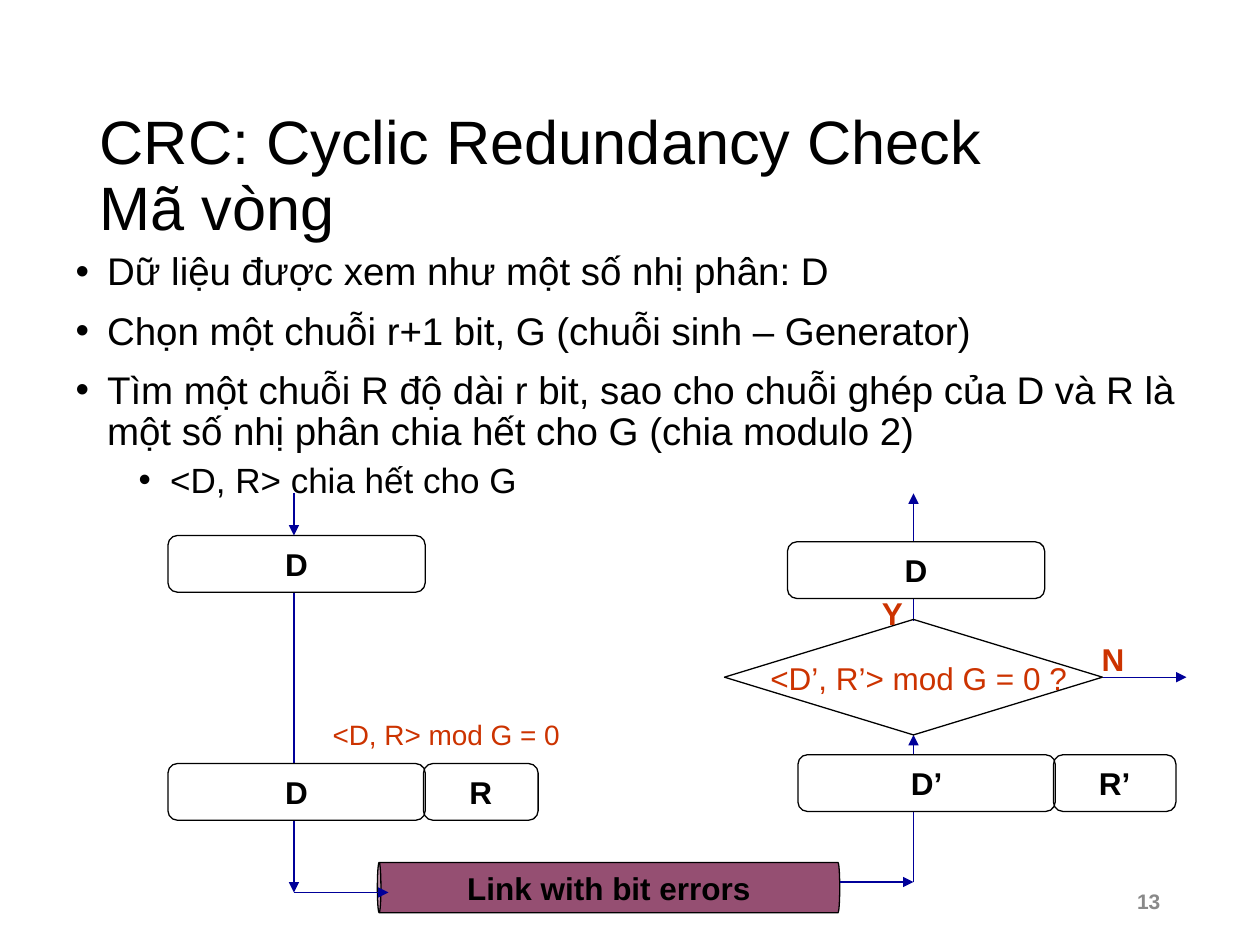
from lxml import etree
from pptx import Presentation
from pptx import util as u
from pptx.dml.color import RGBColor
from pptx.enum import shapes, text
from pptx.oxml import ns

BLACK, WHITE = "000000", "FFFFFF"
NAVY, RED, PURPLE, GRAY = "000099", "CC3300", "954F72", "898989"
FONT = "Arial"
HEADING = "CRC: Cyclic Redundancy Check\vMã vòng"
BULLETS = [
    ("Dữ liệu được xem như một số nhị phân: D", 0),
    ("Chọn một chuỗi r+1 bit, G (chuỗi sinh – Generator)", 0),
    ("Tìm một chuỗi R độ dài r bit, sao cho chuỗi ghép của D và R là "
     "một số nhị phân chia hết cho G (chia modulo 2)", 0),
    ("<D, R> chia hết cho G", 1),
]
FLOW_ARROWS = [
    (168, 336, 168, 510),
    (522, 504, 522, 420),
    (522, 355, 522, 282),
]
EDGE_ARROWS = [
    (630, 387, 678, 387),
    (168, 282, 168, 306),
    (168, 510, 222, 510),
    (480, 504, 522, 504),
]
PACKETS = [
    ("D", 96, 306, 147, WHITE),
    ("D", 96, 436.3, 147, WHITE),
    ("R", 242, 436.3, 65.5, None),
    ("D’", 456, 431.3, 147, WHITE),
    ("R’", 602, 431.3, 70, None),
    ("D", 450, 309.6, 147, WHITE),
]
LABELS = [
    ("<D’, R’> mod G = 0 ?", 432, 373, 186, 18, RED, False),
    ("Y", 492, 336, 36, 18, RED, True),
    ("N", 618, 362, 36, 18, RED, True),
    ("Link with bit errors", 252, 493, 192, 18, BLACK, True),
    ("<D, R> mod G = 0", 180, 405, 150, 16, RED, False),
]


def color(value):
    return RGBColor.from_string(value)


def style_text(para, size, value, bold=False):
    for span in para.runs:
        span.font.name = FONT
        span.font.size = u.Pt(size)
        span.font.bold = bold
        span.font.color.rgb = color(value)


def place(box, left, top, width, height):
    box.left, box.top = u.Pt(left), u.Pt(top)
    box.width, box.height = u.Pt(width), u.Pt(height)


def write_line(box, words, size, value, bold, align=text.PP_ALIGN.CENTER):
    frame = box.text_frame
    frame.word_wrap = True
    frame.vertical_anchor = text.MSO_ANCHOR.MIDDLE
    frame.margin_left = frame.margin_right = 0
    frame.text = words
    para = frame.paragraphs[0]
    para.alignment = align
    style_text(para, size, value, bold)


def fill_title(box):
    place(box, 49.7, 28.8, 621.4, 104.4)
    frame = box.text_frame
    frame.auto_size = text.MSO_AUTO_SIZE.NONE
    frame.vertical_anchor = text.MSO_ANCHOR.TOP
    frame.margin_top = u.Pt(35)
    frame.text = HEADING
    para = frame.paragraphs[0]
    para.alignment = text.PP_ALIGN.LEFT
    para.line_spacing = 0.9
    style_text(para, 35, BLACK)


def add_bullet(para, level):
    props = para._p.get_or_add_pPr()
    props.set("marL", str(u.Pt(18 + 36 * level)))
    props.set("indent", str(u.Pt(-18)))
    etree.SubElement(props, ns.qn("a:buChar"), char="•")


def fill_body(box):
    place(box, 36, 135.4, 648, 158.4)
    frame = box.text_frame
    frame.auto_size = text.MSO_AUTO_SIZE.NONE
    frame.vertical_anchor = text.MSO_ANCHOR.TOP
    frame.margin_top = u.Pt(9)
    frame.text = "\n".join(words for words, _ in BULLETS)
    for index, (para, (_, level)) in enumerate(zip(frame.paragraphs, BULLETS)):
        add_bullet(para, level)
        para.level = level
        para.line_spacing = 0.9
        para.space_before = u.Pt((10 - 5 * level) if index else 0)
        style_text(para, 22 - 2 * level, BLACK)


def add_shape(page, kind, left, top, width, height, fill=None):
    box = page.shapes.add_shape(kind, *map(u.Pt, (left, top, width, height)))
    box.shadow.inherit = False
    box.line.color.rgb = color(BLACK)
    box.line.width = u.Pt(0.75)
    if fill:
        box.fill.solid()
        box.fill.fore_color.rgb = color(fill)
    else:
        box.fill.background()
    return box


def add_packet(page, words, left, top, width, fill):
    box = add_shape(page, shapes.MSO_SHAPE.ROUNDED_RECTANGLE,
                    left, top, width, 32.4, fill)
    write_line(box, words, 18, BLACK, True)


def add_label(page, words, left, top, width, size, value, bold,
              align=text.PP_ALIGN.CENTER):
    box = page.shapes.add_textbox(*map(u.Pt, (left, top, width, 29)))
    write_line(box, words, size, value, bold, align)


def add_arrow(page, *ends):
    arrow = page.shapes.add_connector(
        shapes.MSO_CONNECTOR.STRAIGHT, *map(u.Pt, ends))
    arrow.line.color.rgb = color(NAVY)
    arrow.line.width = u.Pt(0.75)
    etree.SubElement(arrow.line._get_or_add_ln(), ns.qn("a:tailEnd"),
                     type="triangle")
    etree.SubElement(arrow._element.spPr, ns.qn("a:effectLst"))


def add_link(page):
    link = add_shape(page, shapes.MSO_SHAPE.CAN, 333.4, 375.1, 28.8, 264.2, PURPLE)
    link.rotation = 270
    link.adjustments[0] = 0.07


def main():
    deck = Presentation()
    deck.slide_width, deck.slide_height = u.Pt(720), u.Pt(540)
    page = deck.slides.add_slide(deck.slide_layouts[1])
    fill_title(page.shapes.title)
    fill_body(page.placeholders[1])
    add_label(page, "13", 508, 500.4, 155.1, 12, GRAY, True, text.PP_ALIGN.RIGHT)
    for ends in FLOW_ARROWS:
        add_arrow(page, *ends)
    for packet in PACKETS:
        add_packet(page, *packet)
    add_shape(page, shapes.MSO_SHAPE.DIAMOND, 414, 354, 216, 66)
    add_link(page)
    for label in LABELS:
        add_label(page, *label)
    for ends in EDGE_ARROWS:
        add_arrow(page, *ends)
    deck.save("out.pptx")


if __name__ == "__main__":
    main()
